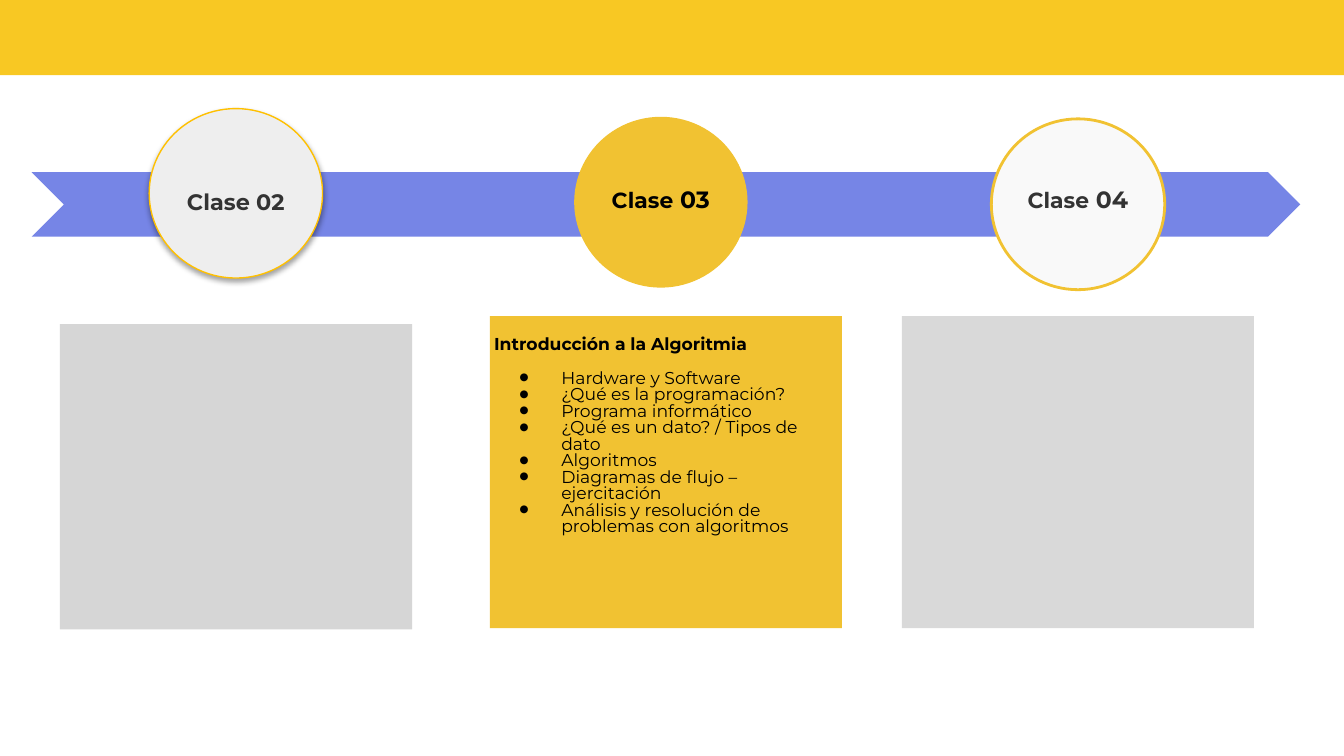
from lxml import etree
from pptx import Presentation
from pptx.dml.color import RGBColor
from pptx.enum.shapes import MSO_SHAPE
from pptx.enum.text import PP_ALIGN
from pptx.oxml.ns import qn
from pptx.util import Inches, Pt

RECT, OVAL, CHEVRON = MSO_SHAPE.RECTANGLE, MSO_SHAPE.OVAL, MSO_SHAPE.CHEVRON
CENTER, LEFT = PP_ALIGN.CENTER, PP_ALIGN.LEFT

THEME = {
    "font": "Montserrat",
    "band": "F8C823", "arrow": "7685E6", "gold": "F1C232", "amber": "FFC000",
    "pale": "EEEEEE", "white": "F9F9F9", "gray": "D9D9D9", "dark_gray": "D6D6D6",
    "black": "000000", "ink": "333333",
    "label": 12, "word": 11.7, "number": 12.6, "body": 9.2,
}

BAND = (-0.1, -0.89, 100.3, 10.85)
ARROW = (2.35, 22.78, 94.4, 8.54)
CIRCLE_W, PANEL_W = 12.9, 26.2
LABEL_W, LABEL_H = 10, 5.87

CLASSES = [
    {"runs": [("Clase 02", "label")], "ink": "ink", "label": (12.55, 23.17),
     "circle": (11.1, 14.36, CIRCLE_W, 22.42), "fill": "pale",
     "line": ("amber", 0.75), "shadow": True,
     "panel": (4.46, 42.88, PANEL_W, 40.39), "panel_fill": "dark_gray"},
    {"runs": [("Clase", "word"), (" 03", "number")], "ink": "black", "label": (44.16, 22.65),
     "circle": (42.72, 15.45, CIRCLE_W, 22.6), "fill": "gold",
     "line": None, "shadow": False,
     "panel": (36.44, 41.83, PANEL_W, 41.28), "panel_fill": "gold"},
    {"runs": [("Clase", "word"), (" 04", "number")], "ink": "ink", "label": (75.2, 22.65),
     "circle": (73.76, 15.72, CIRCLE_W, 22.6), "fill": "white",
     "line": ("gold", 1.5), "shadow": False,
     "panel": (67.1, 41.83, PANEL_W, 41.28), "panel_fill": "gray"},
]

TOPIC_BOX = (35.78, 42.88, PANEL_W, 40.39)
HEADING = "Introducción a la Algoritmia"
TOPICS = [
    "Hardware y Software",
    "¿Qué es la programación?",
    "Programa informático",
    "¿Qué es un dato? / Tipos de dato",
    "Algoritmos",
    "Diagramas de flujo – ejercitación",
    "Análisis y resolución de problemas con algoritmos",
]

prs = Presentation()
prs.slide_width = Inches(10)
prs.slide_height = prs.slide_width * 9 // 16
s = prs.slides.add_slide(prs.slide_layouts[6])


def color(name):
    return RGBColor.from_string(THEME[name])


def place(box):
    sides = (prs.slide_width, prs.slide_height) * 2
    return [round(share * side / 100) for share, side in zip(box, sides)]


def add_block(kind, box, fill, line=None):
    sp = s.shapes.add_shape(kind, *place(box))
    sp.shadow.inherit = False
    sp.fill.solid()
    sp.fill.fore_color.rgb = color(fill)
    if line:
        sp.line.color.rgb = color(line[0])
        sp.line.width = Pt(line[1])
    else:
        sp.line.fill.background()
    return sp


def add_shadow(sp):
    effects = sp._element.spPr.find(qn("a:effectLst"))
    shadow = etree.SubElement(effects, qn("a:outerShdw"), blurRad=str(Pt(3.1)),
                              dist=str(Pt(1.6)), dir="5400000", algn="bl", rotWithShape="0")
    clr = etree.SubElement(shadow, qn("a:srgbClr"), val=THEME["black"])
    etree.SubElement(clr, qn("a:alpha"), val="37000")


def add_text(box):
    tf = s.shapes.add_textbox(*place(box)).text_frame
    tf.word_wrap = True
    for side in ("left", "top", "right", "bottom"):
        setattr(tf, f"margin_{side}", Inches(0.1))
    return tf


def write(p, runs, ink, bold=True, **layout):
    for name, value in layout.items():
        setattr(p, name, value)
    for text, size in runs:
        r = p.add_run()
        r.text = text
        style = {"name": THEME["font"], "size": Pt(THEME[size]), "bold": bold}
        for name, value in style.items():
            setattr(r.font, name, value)
        r.font.color.rgb = color(ink)


def add_bullet(p):
    pPr = p._p.get_or_add_pPr()
    pPr.set("marL", str(Inches(0.5)))
    pPr.set("indent", str(Inches(-0.31)))
    clr = etree.SubElement(pPr, qn("a:buClr"))
    etree.SubElement(clr, qn("a:srgbClr"), val=THEME["black"])
    etree.SubElement(pPr, qn("a:buSzPct"), val="60000")
    etree.SubElement(pPr, qn("a:buFont"), typeface=THEME["font"])
    etree.SubElement(pPr, qn("a:buChar"), char="●")


add_block(CHEVRON, ARROW, "arrow")
add_block(RECT, BAND, "band")
for c in CLASSES:
    sp = add_block(OVAL, c["circle"], c["fill"], c["line"])
    if c["shadow"]:
        add_shadow(sp)
    add_block(RECT, c["panel"], c["panel_fill"])
    tf = add_text((*c["label"], LABEL_W, LABEL_H))
    write(tf.paragraphs[0], c["runs"], c["ink"], alignment=CENTER)

tf = add_text(TOPIC_BOX)
write(tf.paragraphs[0], [(HEADING, "body")], "black",
      alignment=LEFT, line_spacing=0.8, space_after=Pt(9))
for topic in TOPICS:
    p = tf.add_paragraph()
    write(p, [(topic, "body")], "black", bold=False, alignment=LEFT, line_spacing=0.8)
    add_bullet(p)

prs.save("out.pptx")
